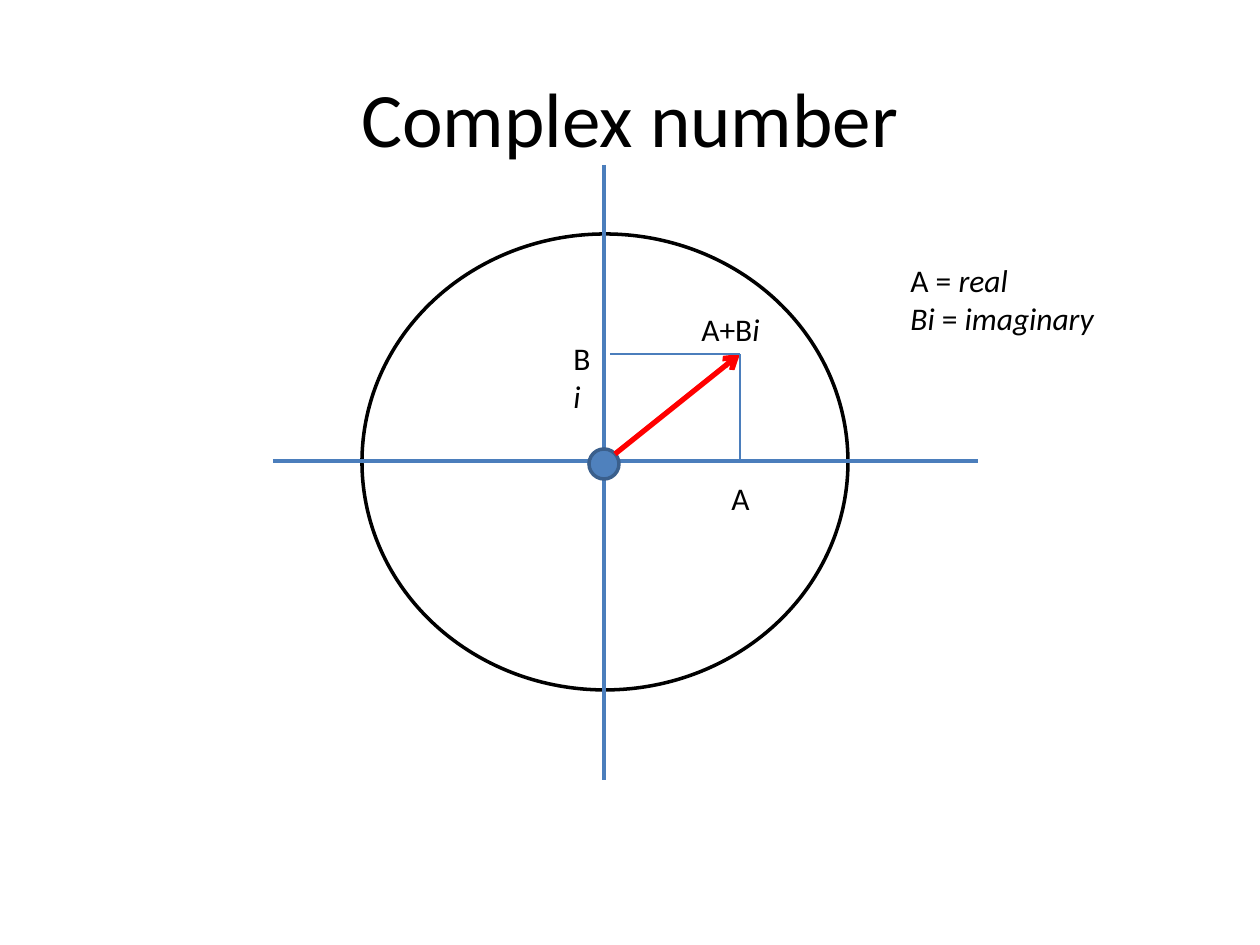
import lxml.etree
import pptx
import pptx.dml.color
import pptx.enum.shapes
import pptx.enum.text
import pptx.oxml.ns
import pptx.util

PX = 914400 / 126
COLORS = {
    "text": "000000",
    "paper": "FFFFFF",
    "axis": "4B7EBC",
    "dot": "4F81BD",
    "dot_edge": "3A5F8C",
    "vector": "FF0000",
}
COLORS = {name: pptx.dml.color.RGBColor.from_string(value) for name, value in COLORS.items()}
ALIGN = pptx.enum.text.PP_ALIGN
ANCHOR = pptx.enum.text.MSO_ANCHOR

deck = pptx.Presentation()
deck.slide_width = round(1260 * PX)
deck.slide_height = round(945 * PX)
page = deck.slides.add_slide(deck.slide_layouts[6])


def add_text(paragraphs, left, top, width, height, size=18, wrap=False,
             align=ALIGN.LEFT, anchor=ANCHOR.TOP):
    """Each paragraph is a list of (text, italic) pairs."""
    box = page.shapes.add_textbox(*[round(n * PX) for n in (left, top, width, height)])
    frame = box.text_frame
    frame.word_wrap = wrap
    frame.vertical_anchor = anchor
    for index, spans in enumerate(paragraphs):
        para = frame.add_paragraph() if index else frame.paragraphs[0]
        para.alignment = align
        for text, italic in spans:
            span = para.add_run()
            span.text = text
            span.font.name = "Calibri"
            span.font.size = pptx.util.Pt(size)
            span.font.italic = italic
            span.font.color.rgb = COLORS["text"]


def add_line(start, end, color="axis", weight=2.0):
    line = page.shapes.add_connector(
        pptx.enum.shapes.MSO_CONNECTOR.STRAIGHT,
        *[round(n * PX) for n in (*start, *end)])
    line.line.color.rgb = COLORS[color]
    line.line.width = pptx.util.Pt(weight)
    lxml.etree.SubElement(line._element.spPr, pptx.oxml.ns.qn("a:effectLst"))
    return line


# Circle, axes and origin, from back to front
origin_x, origin_y = 604, 461
tip = (740, 354)
circle = page.shapes.add_shape(
    pptx.enum.shapes.MSO_SHAPE.OVAL, *[round(n * PX) for n in (362, 234, 486, 456)])
add_line((273, origin_y), (978, origin_y))
add_line((origin_x, 165), (origin_x, 780))
dot = page.shapes.add_shape(
    pptx.enum.shapes.MSO_SHAPE.OVAL, *[round(n * PX) for n in (589, 449, 30, 30)])
for oval, fill, edge in ((circle, "paper", "text"), (dot, "dot", "dot_edge")):
    oval.shadow.inherit = False
    oval.fill.solid()
    oval.fill.fore_color.rgb = COLORS[fill]
    oval.line.color.rgb = COLORS[edge]
    oval.line.width = pptx.util.Pt(2)

# Vector with its arrowhead
vector = add_line((615, 454), tip, color="vector", weight=3)
outline = vector._element.spPr.find(pptx.oxml.ns.qn("a:ln"))
lxml.etree.SubElement(outline, pptx.oxml.ns.qn("a:tailEnd"), type="arrow")

# Projections onto both axes
add_line((610, tip[1]), tip, weight=0.75)
add_line((tip[0], origin_y), tip, weight=0.75)

# Labels
add_text([[("A", False)]], 719, 473, 47, 50)
add_text([[("B", False), ("i", True)]], 561, 333, 49, 50)
add_text([[("A = ", False), ("real", True)],
          [("Bi ", True), ("=", False), (" imaginary", True)]],
         898, 255, 362, 89, wrap=True)
add_text([[("A+B", False), ("i", True)]], 689, 304, 91, 50)

# Title
add_text([[("Complex number", False)]], 63, 38, 1134, 158, size=44, wrap=True,
         align=ALIGN.CENTER, anchor=ANCHOR.MIDDLE)

deck.save("out.pptx")
